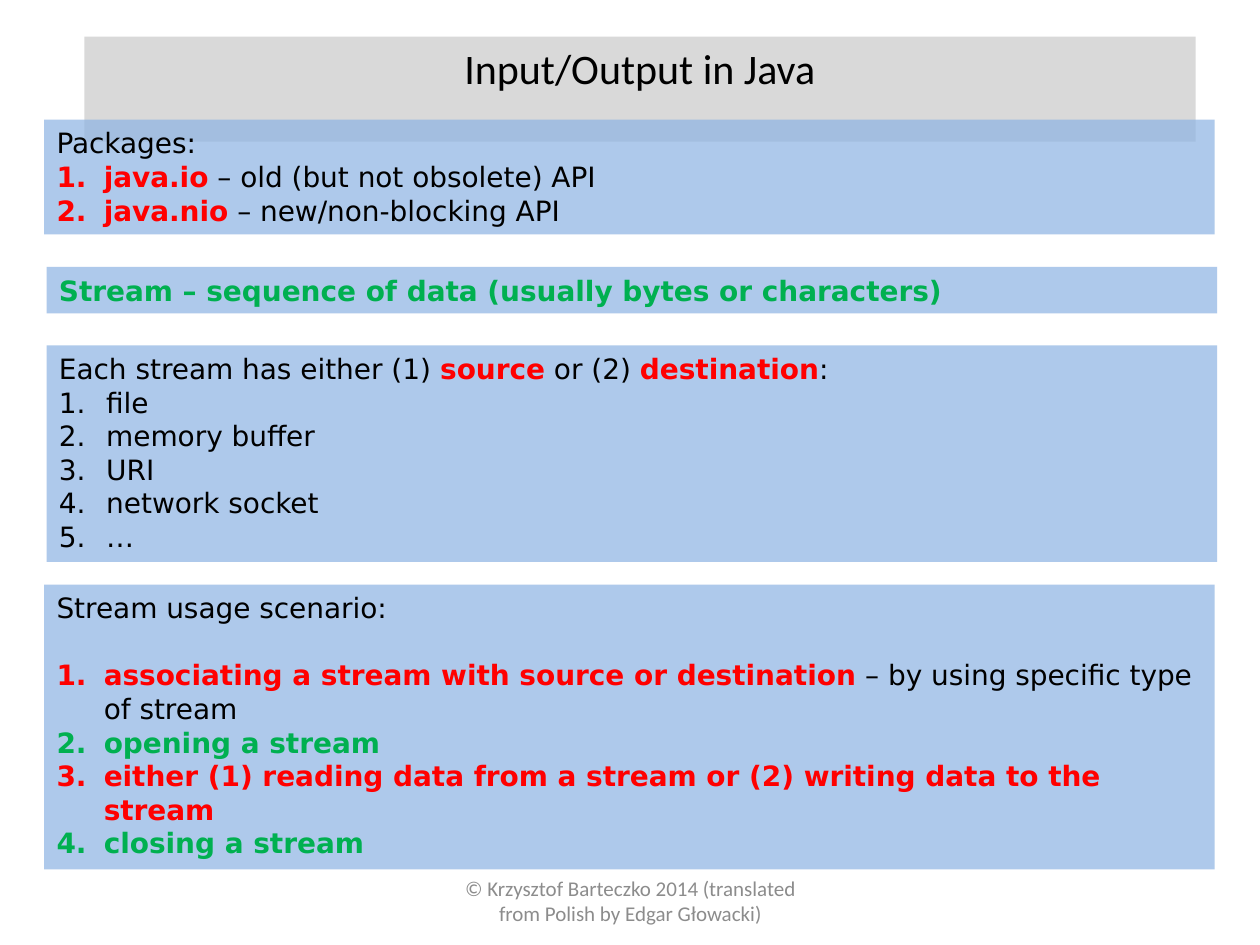
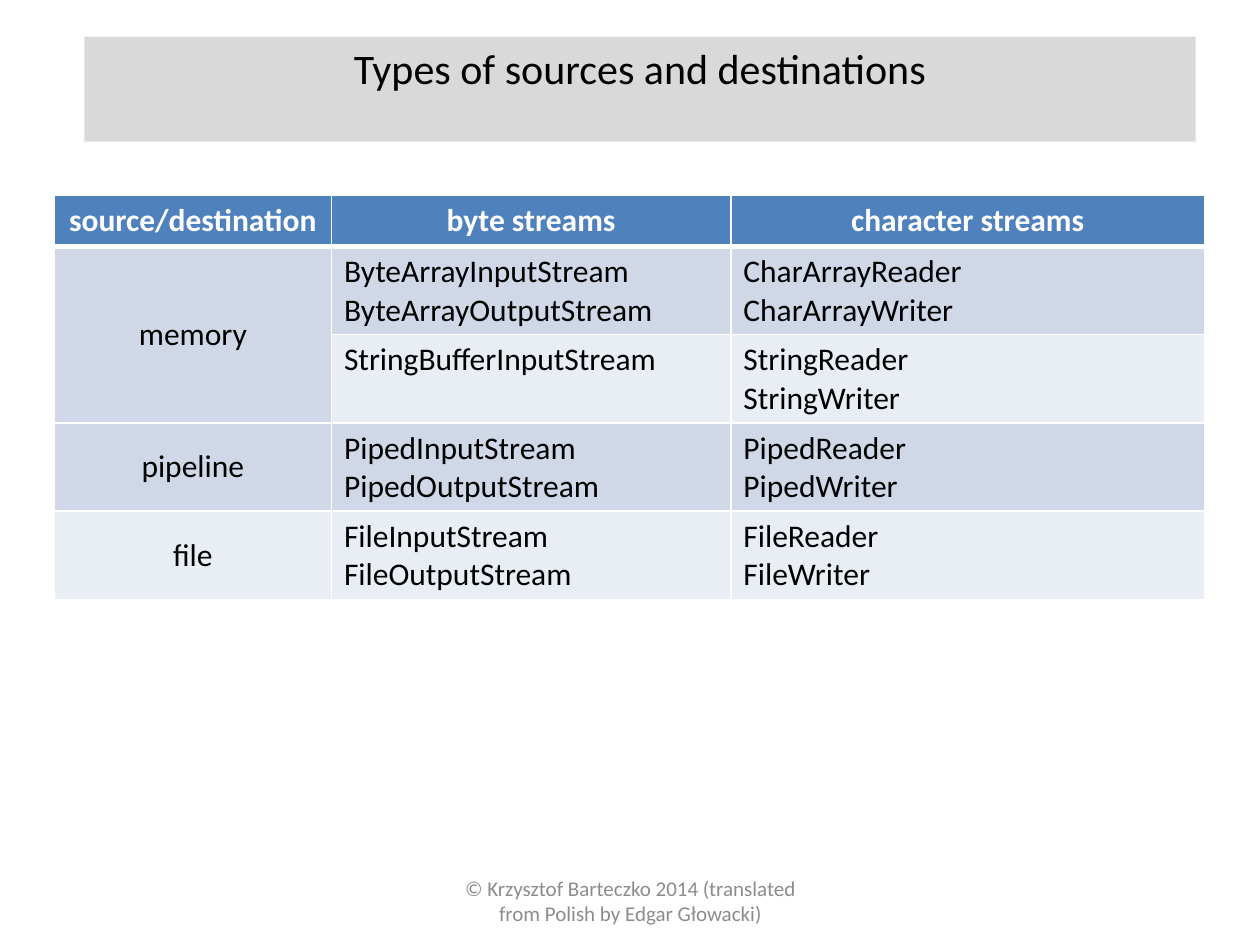
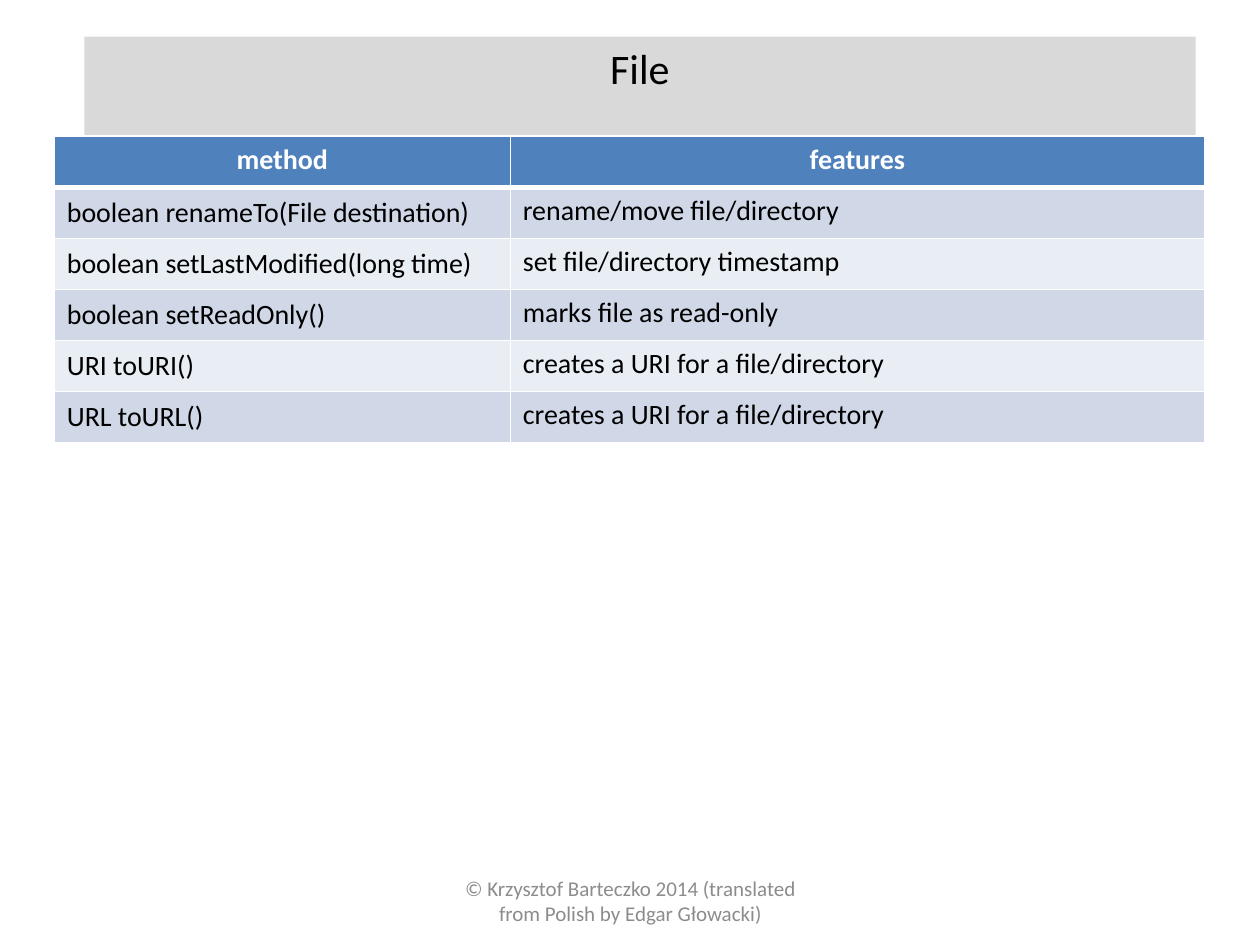
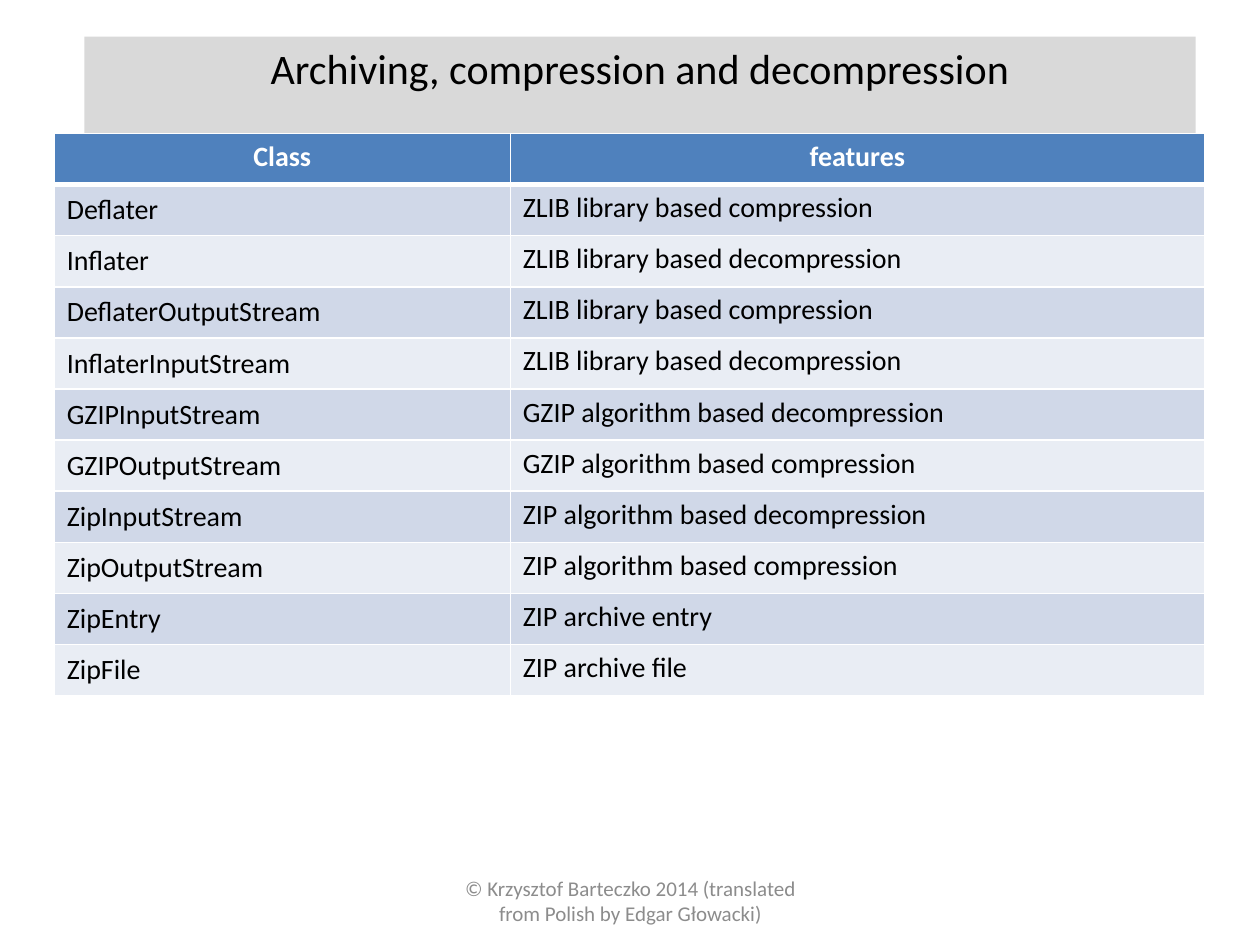
from lxml.etree import SubElement
from pptx import Presentation
from pptx.dml.color import RGBColor
from pptx.enum.shapes import MSO_SHAPE
from pptx.enum.text import MSO_ANCHOR, MSO_AUTO_SIZE, PP_ALIGN
from pptx.oxml.ns import qn
from pptx.util import Pt

BODY_FONT = "Calibri"
PANEL_FONT = "DejaVu Sans"
BLACK, WHITE, RED, GREEN = "000000", "FFFFFF", "FF0000", "00B050"
TITLE_BAND, FOOTER_GREY, PANEL_BLUE = "D9D9D9", "8C8C8C", "8EB4E3"
HEADER_BLUE, ROW_BANDS = "4F81BD", ("E9EDF4", "D0D8E8")
FOOTER = "© Krzysztof Barteczko 2014 (translated from Polish by Edgar Głowacki)"

TITLE_BOX = (48.2, 20.9, 635, 36)
FOOTER_BOX = (246.2, 500.4, 228.2, 28.8)
TABLE_LEFT = 31
PANEL_WIDTH = 668.9
INDENT = 27
LINE_HEIGHT = 19.2
ROW_HEIGHT = 29.2

PANELS = [
    ((25.2, 68.4, PANEL_WIDTH, 65.5), [
        [("Packages:", BLACK)],
    ], [
        [("java.io", RED), (" – old (but not obsolete) API", BLACK)],
        [("java.nio", RED), (" – new/non-blocking API", BLACK)],
    ], 0),
    ((26.6, 152.6, PANEL_WIDTH, 26.6), [
        [("Stream – sequence of data (usually bytes or characters)", GREEN)],
    ], [], 0),
    ((26.6, 197.3, PANEL_WIDTH, 123.8), [
        [("Each stream has either (1) ", BLACK), ("source", RED),
         (" or (2) ", BLACK), ("destination", RED), (":", BLACK)],
    ], [
        [(item, BLACK)]
        for item in ("file", "memory buffer", "URI", "network socket", "…")
    ], 0),
    ((25.2, 334.1, PANEL_WIDTH, 162.7), [
        [("Stream usage scenario:", BLACK)],
    ], [
        [("associating a stream with source or destination", RED),
         (" – by using specific type of stream", BLACK)],
        [("opening a stream", GREEN)],
        [("either (1) reading data from a stream or (2) writing data to the stream", RED)],
        [("closing a stream", GREEN)],
    ], LINE_HEIGHT),
]

STREAM_ROWS = [
    ("source/destination", "byte streams", "character streams"),
    ("memory", "ByteArrayInputStream\nByteArrayOutputStream", "CharArrayReader\nCharArrayWriter"),
    ("", "StringBufferInputStream", "StringReader\nStringWriter"),
    ("pipeline", "PipedInputStream\nPipedOutputStream", "PipedReader\nPipedWriter"),
    ("file", "FileInputStream\nFileOutputStream", "FileReader\nFileWriter"),
]
FILE_ROWS = [
    ("method", "features"),
    ("boolean renameTo(File destination)", "rename/move file/directory"),
    ("boolean setLastModified(long time)", "set file/directory timestamp"),
    ("boolean setReadOnly()", "marks file as read-only"),
    ("URI toURI()", "creates a URI for a file/directory"),
    ("URL toURL()", "creates a URI for a file/directory"),
]
ARCHIVE_ROWS = [
    ("Class", "features"),
    ("Deflater", "ZLIB library based compression"),
    ("Inflater", "ZLIB library based decompression"),
    ("DeflaterOutputStream", "ZLIB library based compression"),
    ("InflaterInputStream", "ZLIB library based decompression"),
    ("GZIPInputStream", "GZIP algorithm based decompression"),
    ("GZIPOutputStream", "GZIP algorithm based compression"),
    ("ZipInputStream", "ZIP algorithm based decompression"),
    ("ZipOutputStream", "ZIP algorithm based compression"),
    ("ZipEntry", "ZIP archive entry"),
    ("ZipFile", "ZIP archive file"),
]


def color(value):
    return RGBColor.from_string(value)


def paint(shape, value):
    shape.fill.solid()
    shape.fill.fore_color.rgb = color(value)


def style_font(font, name, size, value, bold=False):
    font.name = name
    font.size = Pt(size)
    font.color.rgb = color(value)
    font.bold = bold


def lengths(box):
    return [Pt(length) for length in box]


def add_title(slide, text, box):
    title = slide.shapes.title
    title.left, title.top, title.width, title.height = lengths(box)
    paint(title, TITLE_BAND)
    frame = title.text_frame
    frame.text = text
    frame.word_wrap = True
    frame.auto_size = MSO_AUTO_SIZE.SHAPE_TO_FIT_TEXT
    frame.vertical_anchor = MSO_ANCHOR.TOP
    paragraph = frame.paragraphs[0]
    paragraph.alignment = PP_ALIGN.CENTER
    style_font(paragraph.font, BODY_FONT, 24, BLACK)


def add_footer(slide, box):
    frame = slide.shapes.add_textbox(*lengths(box)).text_frame
    frame.text = FOOTER
    frame.word_wrap = True
    frame.vertical_anchor = MSO_ANCHOR.MIDDLE
    paragraph = frame.paragraphs[0]
    paragraph.alignment = PP_ALIGN.CENTER
    style_font(paragraph.font, BODY_FONT, 12, FOOTER_GREY)


def add_titled_slide(presentation, title):
    slide = presentation.slides.add_slide(presentation.slide_layouts[5])
    add_footer(slide, FOOTER_BOX)
    add_title(slide, title, TITLE_BOX)
    return slide


def number_paragraph(paragraph):
    properties = paragraph._p.get_or_add_pPr()
    properties.set("marL", str(Pt(INDENT)))
    properties.set("indent", str(-Pt(INDENT)))
    SubElement(properties, qn("a:buAutoNum"), type="arabicPeriod")


def add_panel(slide, box, lead, items, gap):
    panel = slide.shapes.add_shape(MSO_SHAPE.RECTANGLE, *lengths(box))
    panel.shadow.inherit = False
    panel.line.fill.background()
    paint(panel, PANEL_BLUE)
    fill_color = panel.fill._xPr.find(qn("a:solidFill"))[0]
    SubElement(fill_color, qn("a:alpha"), val="71000")
    frame = panel.text_frame
    frame.word_wrap = True
    frame.auto_size = MSO_AUTO_SIZE.SHAPE_TO_FIT_TEXT
    frame.vertical_anchor = MSO_ANCHOR.TOP
    for index, runs in enumerate(lead + items):
        paragraph = frame.add_paragraph() if index else frame.paragraphs[0]
        paragraph.alignment = PP_ALIGN.LEFT
        if index >= len(lead):
            if gap and index == len(lead):
                paragraph.space_before = Pt(gap)
            number_paragraph(paragraph)
        for text, value in runs:
            run = paragraph.add_run()
            run.text = text
            style_font(run.font, PANEL_FONT, 16, value, value != BLACK)


def set_borders(cell, top, bottom):
    properties = cell._tc.get_or_add_tcPr()
    for side, width in (("L", 1), ("R", 1), ("T", top), ("B", bottom)):
        line = SubElement(properties, qn(f"a:ln{side}"), w=str(Pt(width)))
        fill = SubElement(line, qn("a:solidFill"))
        SubElement(fill, qn("a:srgbClr"), val=WHITE)


def format_cell(cell, row, centered, middle, size):
    header = row == 0
    set_borders(cell, 3 if row == 1 else 1, 3 if header else 1)
    paint(cell, HEADER_BLUE if header else ROW_BANDS[row % 2])
    cell.vertical_anchor = MSO_ANCHOR.MIDDLE if middle else MSO_ANCHOR.TOP
    for paragraph in cell.text_frame.paragraphs:
        paragraph.alignment = PP_ALIGN.CENTER if centered else PP_ALIGN.LEFT
        style_font(paragraph.font, BODY_FONT, size, WHITE if header else BLACK, header)


def add_grid(slide, top, rows, widths, row_height, size, center_first=False):
    heights = [ROW_HEIGHT] + [row_height] * (len(rows) - 1)
    box = (TABLE_LEFT, top, sum(widths), sum(heights))
    table = slide.shapes.add_table(len(rows), len(widths), *lengths(box)).table
    for column, width in zip(table.columns, widths):
        column.width = Pt(width)
    for row, (texts, height) in enumerate(zip(rows, heights)):
        table.rows[row].height = Pt(height)
        for column, text in enumerate(texts):
            cell = table.cell(row, column)
            cell.text = text
            first = column == 0
            centered = row == 0 or first and center_first
            format_cell(cell, row, centered, first and row > 0, size)
    return table


def build_overview(presentation):
    slide = add_titled_slide(presentation, "Input/Output in Java")
    for panel in PANELS:
        add_panel(slide, *panel)


def build_streams(presentation):
    slide = add_titled_slide(presentation, "Types of sources and destinations")
    table = add_grid(slide, 111.6, STREAM_ROWS, (158.4, 228.2, 270.8), 50.4, 18, True)
    table.cell(1, 0).merge(table.cell(2, 0))


def build_features(presentation, title, top, rows):
    slide = add_titled_slide(presentation, title)
    add_grid(slide, top, rows, (260.6, 396.7), ROW_HEIGHT, 16)


def main():
    presentation = Presentation()
    presentation.slide_width, presentation.slide_height = Pt(720), Pt(540)
    build_overview(presentation)
    build_streams(presentation)
    build_features(presentation, "File", 77.8, FILE_ROWS)
    build_features(presentation, "Archiving, compression and decompression", 76.3, ARCHIVE_ROWS)
    presentation.save("out.pptx")


if __name__ == "__main__":
    main()
